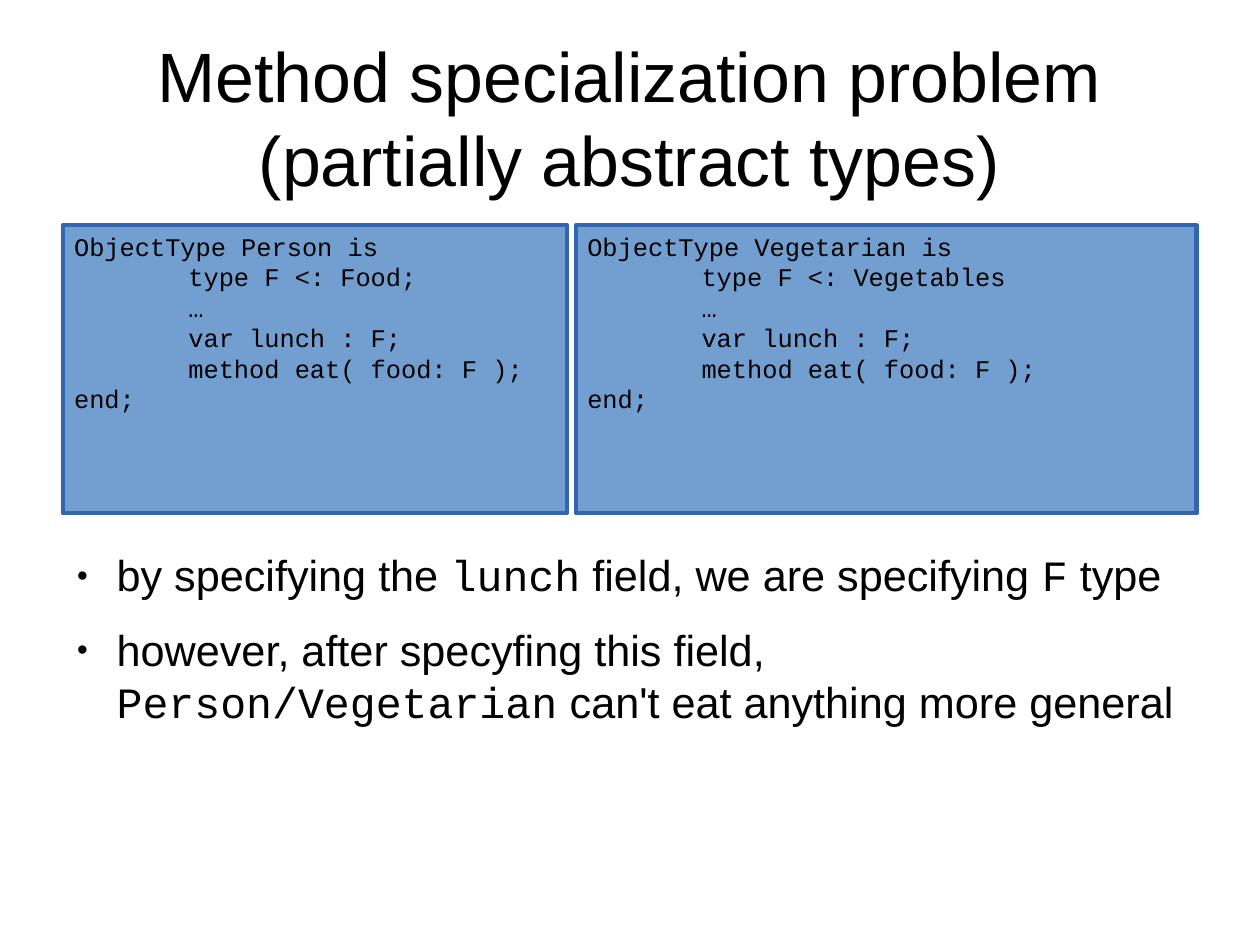
from lxml import etree
from pptx import Presentation
from pptx.dml.color import RGBColor
from pptx.enum.shapes import MSO_SHAPE
from pptx.enum.text import MSO_ANCHOR, MSO_AUTO_SIZE, PP_ALIGN
from pptx.oxml.ns import qn
from pptx.util import Inches, Pt

RECTANGLE = MSO_SHAPE.RECTANGLE
TOP, MIDDLE = MSO_ANCHOR.TOP, MSO_ANCHOR.MIDDLE
LEFT, CENTER = PP_ALIGN.LEFT, PP_ALIGN.CENTER
FIXED = MSO_AUTO_SIZE.NONE

TITLE = "Method specialization problem\v(partially abstract types)"
CODE = """ObjectType {name} is
\ttype F <: {bound}
\t…
\tvar lunch : F;
\tmethod eat( food: F );
end;"""
TYPES = [
    ("Person", "Food;", 0.55, 4.41),
    ("Vegetarian", "Vegetables", 5.04, 5.43),
]
POINTS = [
    ["by specifying the ", "lunch", " field, we are specifying ", "F", " type"],
    ["however, after specyfing this field, ", "Person/Vegetarian",
     " can't eat anything more general"],
]


def color(value):
    return RGBColor.from_string(value)


def apply(target, **values):
    for name, value in values.items():
        setattr(target, name, value)


def add_property(paragraph, tag, **attributes):
    properties = paragraph._p.get_or_add_pPr()
    return etree.SubElement(properties, qn(tag), attributes)


class SpecializationSlide:
    prose, mono = "Arial", "Courier New"
    ink, fill, border = "000000", "729FCF", "3465AF"

    def __init__(self, deck):
        self.slide = deck.slides.add_slide(deck.slide_layouts[1])

    def place(self, shape, left, top, width, height):
        apply(shape, left=Inches(left), top=Inches(top),
              width=Inches(width), height=Inches(height))

    def frame(self, shape, anchor, side=0, edge=0):
        frame = shape.text_frame
        apply(frame, word_wrap=True, auto_size=FIXED, vertical_anchor=anchor,
              margin_left=Inches(side), margin_right=Inches(side),
              margin_top=Inches(edge), margin_bottom=Inches(edge))
        return frame

    def style(self, font, family, size):
        apply(font, name=family, size=Pt(size))
        font.color.rgb = color(self.ink)

    def title(self, text):
        title = self.slide.shapes.title
        self.place(title, 0.55, 0.33, 9.92, 1.38)
        frame = self.frame(title, MIDDLE)
        frame.text = text
        heading = frame.paragraphs[0]
        heading.alignment = CENTER
        for line in heading.runs:
            self.style(line.font, self.prose, 44)

    def code_panel(self, code, left, width):
        panel = self.slide.shapes.add_shape(
            RECTANGLE, Inches(left), Inches(1.97), Inches(width), Inches(2.52))
        panel.shadow.inherit = False
        panel.fill.solid()
        panel.fill.fore_color.rgb = color(self.fill)
        panel.line.color.rgb = color(self.border)
        panel.line.width = Pt(2.83)
        frame = self.frame(panel, TOP, 0.1, 0.05)
        frame.text = code
        for line in frame.paragraphs:
            line.alignment = LEFT
            stops = add_property(line, "a:tabLst")
            etree.SubElement(stops, qn("a:tab"), pos=str(Inches(1)), algn="l")
            for statement in line.runs:
                self.style(statement.font, self.mono, 16)

    def bullets(self, points):
        body = self.slide.placeholders[1]
        self.place(body, 0.55, 4.8, 9.92, 1.93)
        frame = self.frame(body, TOP)
        for index, parts in enumerate(points):
            point = frame.add_paragraph() if index else frame.paragraphs[0]
            apply(point, space_before=Pt(0), space_after=Pt(14.2))
            properties = point._p.get_or_add_pPr()
            for name, length in {"marL": 0.47, "indent": -0.35}.items():
                properties.set(name, str(Inches(length)))
            add_property(point, "a:buSzPct", val="45000")
            add_property(point, "a:buChar", char="●")
            for position, text in enumerate(parts):
                part = point.add_run()
                part.text = text
                family = self.mono if position % 2 else self.prose
                self.style(part.font, family, 27.2)


def main():
    deck = Presentation()
    deck.slide_width = Inches(28 / 2.54)
    deck.slide_height = Inches(21 / 2.54)
    page = SpecializationSlide(deck)
    page.title(TITLE)
    page.bullets(POINTS)
    for name, bound, left, width in TYPES:
        page.code_panel(CODE.format(name=name, bound=bound), left, width)
    deck.save("out.pptx")


if __name__ == "__main__":
    main()
